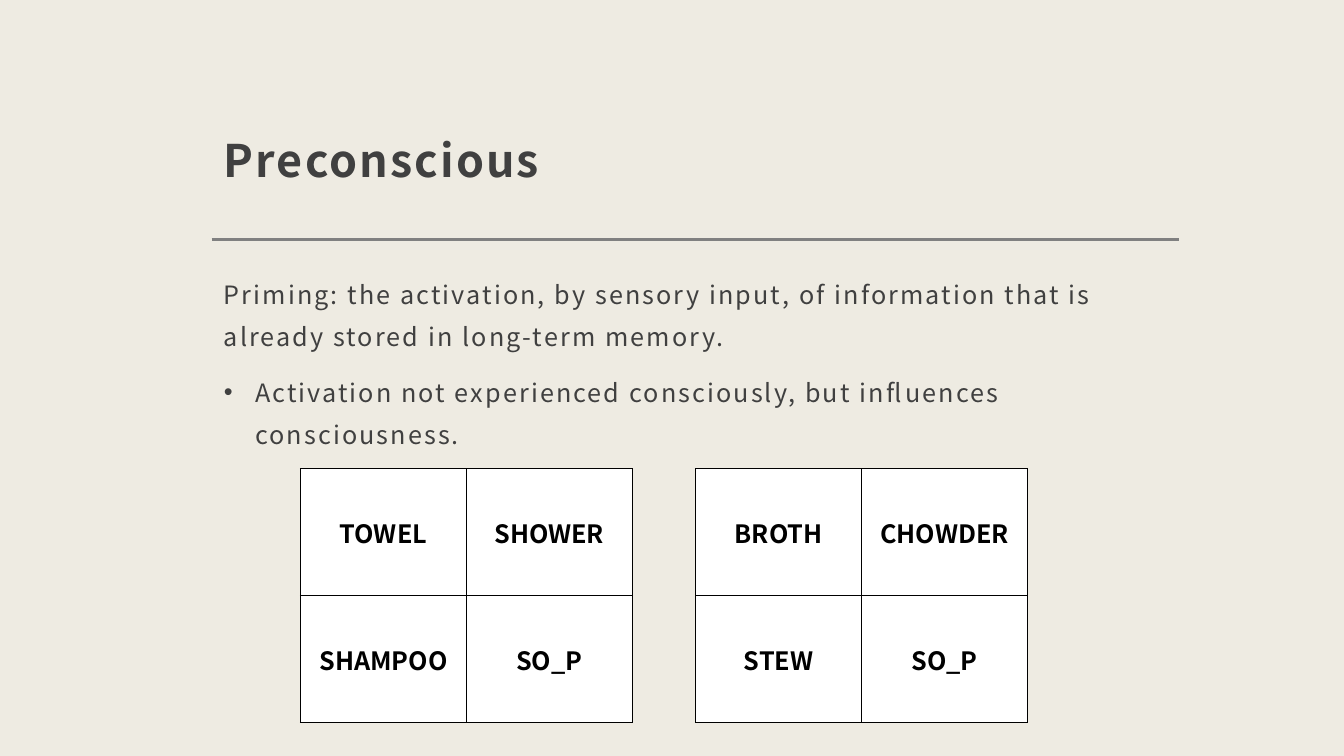
import pptx
import pptx.util
import pptx.dml.color
import pptx.enum.shapes
import pptx.enum.text
import pptx.oxml.ns
from lxml import etree

Inches, Pt = pptx.util.Inches, pptx.util.Pt
RGBColor = pptx.dml.color.RGBColor
ALIGN = pptx.enum.text.PP_ALIGN
ANCHOR = pptx.enum.text.MSO_ANCHOR
qn = pptx.oxml.ns.qn

# Content
TITLE = "Preconscious"
BODY = [
    # text, bulleted
    ("Priming: the activation, by sensory input, of information that is "
     "already stored in long-term memory.", False),
    ("Activation not experienced consciously, but influences consciousness.", True),
]
WORD_GRIDS = [
    [["TOWEL", "SHOWER"], ["SHAMPOO", "SO_P"]],
    [["BROTH", "CHOWDER"], ["STEW", "SO_P"]],
]

# Format
BACKGROUND = RGBColor(0xEE, 0xEB, 0xE2)
TEXT = RGBColor(0x40, 0x40, 0x40)
RULE = RGBColor(0x80, 0x80, 0x80)
BLACK = RGBColor(0, 0, 0)
WHITE = RGBColor(0xFF, 0xFF, 0xFF)
FONT = "Noto Sans CJK JP"
TITLE_FONT = {"name": FONT, "size": Pt(32), "bold": True}
BODY_FONT = {"name": FONT, "size": Pt(18), "bold": False}
CELL_FONT = {"name": FONT, "size": Pt(18), "bold": True}
INSETS = {"margin_left": Inches(0.12), "margin_right": Inches(0.12),
          "margin_top": Inches(0.12), "margin_bottom": Inches(0.1)}

# Layout, in inches
LEFT, WIDTH = 2.1, 9.59
RULE_Y = 2.38
GRID_LEFT, GRID_TOP, GRID_STEP = 2.98, 4.65, 3.92
CELL_W, CELL_H = 1.645, 1.26
INDENT = 0.31


def set_attrs(target, values):
    for name, value in values.items():
        setattr(target, name, value)


def add_run(p, text, font, color, spacing=0):
    r = p.add_run()
    r.text = text
    set_attrs(r.font, font)
    r.font.color.rgb = color
    if spacing:
        r.font._element.set("spc", str(int(spacing * 100)))


def add_text_frame(s, top, height, anchor):
    sp = s.shapes.add_textbox(Inches(LEFT), Inches(top), Inches(WIDTH), Inches(height))
    tf = sp.text_frame
    set_attrs(tf, {"word_wrap": True, "vertical_anchor": anchor, **INSETS})
    return tf


def add_bullet(p):
    pPr = p._p.get_or_add_pPr()
    pPr.set("marL", str(Inches(INDENT)))
    pPr.set("indent", str(-Inches(INDENT)))
    etree.SubElement(pPr, qn("a:buFont")).set("typeface", "Arial")
    etree.SubElement(pPr, qn("a:buChar")).set("char", "•")


def add_borders(cell):
    tcPr = cell._tc.get_or_add_tcPr()
    for side in ("a:lnL", "a:lnR", "a:lnT", "a:lnB"):
        ln = etree.SubElement(tcPr, qn(side))
        ln.set("w", str(Pt(1)))
        fill = etree.SubElement(ln, qn("a:solidFill"))
        etree.SubElement(fill, qn("a:srgbClr")).set("val", str(BLACK))


def add_word_grid(s, left, words):
    rows, cols = len(words), len(words[0])
    table = s.shapes.add_table(rows, cols, Inches(left), Inches(GRID_TOP),
                               Inches(cols * CELL_W), Inches(rows * CELL_H)).table
    set_attrs(table, {"first_row": False, "horz_banding": False})
    for i, row in enumerate(words):
        for j, word in enumerate(row):
            cell = table.cell(i, j)
            add_borders(cell)
            cell.fill.solid()
            cell.fill.fore_color.rgb = WHITE
            cell.vertical_anchor = ANCHOR.MIDDLE
            p = cell.text_frame.paragraphs[0]
            p.alignment = ALIGN.CENTER
            add_run(p, word, CELL_FONT, BLACK)


def main():
    prs = pptx.Presentation()
    set_attrs(prs, {"slide_width": Inches(13.33), "slide_height": Inches(7.5)})
    s = prs.slides.add_slide(prs.slide_layouts[6])
    s.background.fill.solid()
    s.background.fill.fore_color.rgb = BACKGROUND

    # Rule under the title
    rule = s.shapes.add_connector(pptx.enum.shapes.MSO_CONNECTOR.STRAIGHT,
                                  Inches(LEFT), Inches(RULE_Y),
                                  Inches(LEFT + WIDTH), Inches(RULE_Y))
    rule.line.color.rgb = RULE
    rule.line.width = Pt(2)
    etree.SubElement(rule._element.spPr, qn("a:effectLst"))

    # Title
    p = add_text_frame(s, 0.48, 1.47, ANCHOR.BOTTOM).paragraphs[0]
    p.line_spacing = 1.3
    add_run(p, TITLE, TITLE_FONT, TEXT, 1.5)

    # Body
    tf = add_text_frame(s, 2.53, 3.99, ANCHOR.TOP)
    for i, (text, bulleted) in enumerate(BODY):
        p = tf.add_paragraph() if i else tf.paragraphs[0]
        set_attrs(p, {"line_spacing": 1.4, "space_before": Pt(9.3)})
        if bulleted:
            add_bullet(p)
        add_run(p, text, BODY_FONT, TEXT, 1.5)

    # Word grids
    for i, words in enumerate(WORD_GRIDS):
        add_word_grid(s, GRID_LEFT + i * GRID_STEP, words)

    prs.save("out.pptx")


if __name__ == "__main__":
    main()
